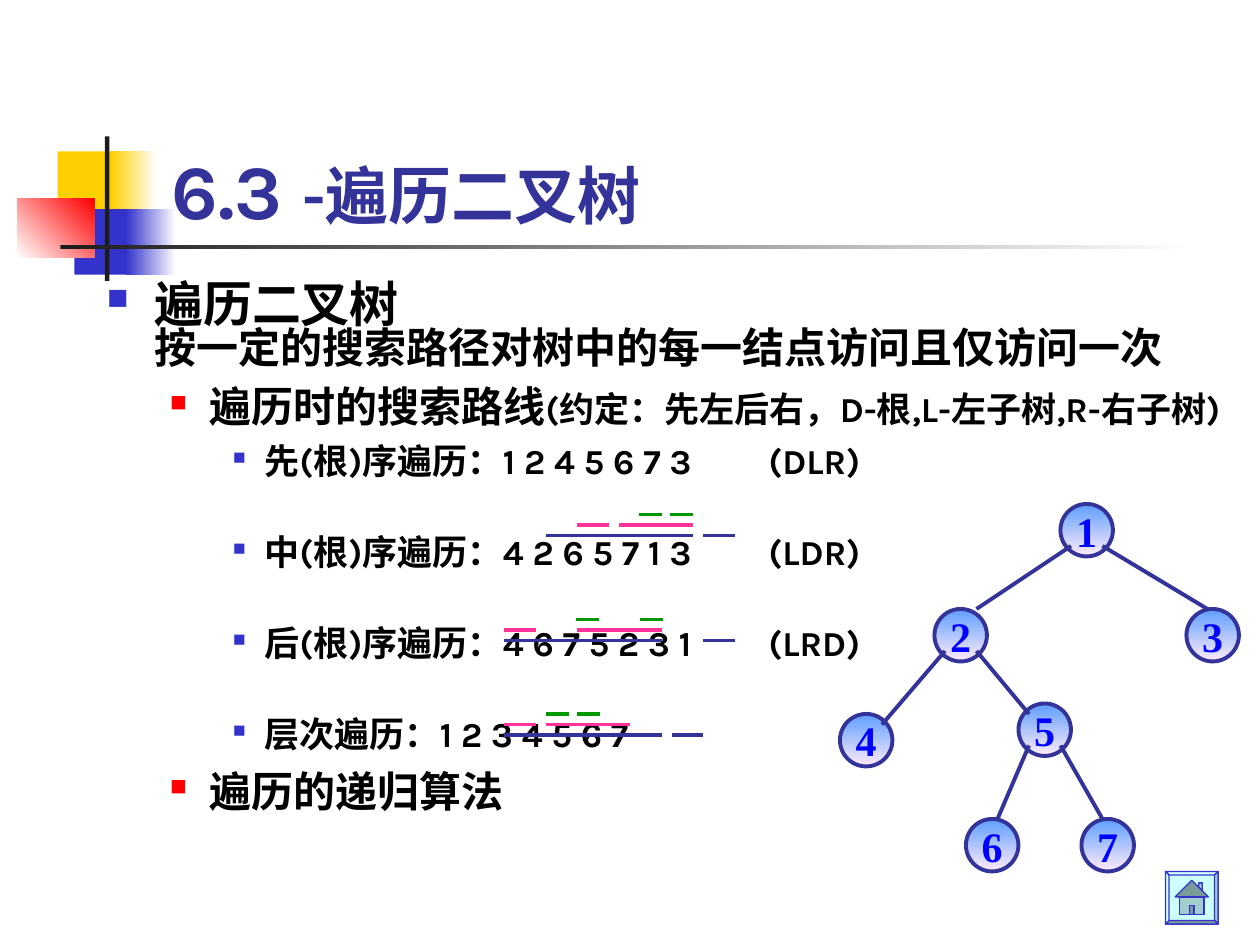
import pptx
import pptx.dml.color
import pptx.enum.shapes
import pptx.enum.text
import pptx.oxml.ns
import pptx.util
from dataclasses import dataclass
from lxml import etree

Pt = pptx.util.Pt
SHAPE = pptx.enum.shapes.MSO_SHAPE


@dataclass(frozen=True)
class Theme:
    navy: str = "333399"
    blue: str = "3333CC"
    yellow: str = "FFCF01"
    red: str = "FF0000"
    pink: str = "FF3399"
    green: str = "009900"
    black: str = "000000"
    dark: str = "1C1C1C"
    white: str = "FFFFFF"
    node_text: str = "0000FF"
    node_fill: tuple = ("5E9EFF", "FFEBFA")
    button: str = "CCFFFF"
    button_light: str = "D6FFFF"
    button_shade: str = "A3CCCC"
    button_dark: str = "7A9999"
    font: str = "Karla"
    node_font: str = "Times New Roman"
    title_size: int = 44
    subtitle_size: int = 36
    heading_size: int = 28
    body_size: int = 24
    detail_size: int = 20
    line_width: float = 2.25
    thin_line: float = 0.75


THEME = Theme()

# Bullet level: left margin, hanging indent, line spacing, bullet colour, bullet percent
LEVELS = [
    (27, 27, 0.8, THEME.blue, 60),
    (58.5, 22.5, 1.0, THEME.red, 55),
    (90, 18, 1.0, THEME.blue, 50),
]
ORDER_CODE_TAB = 378
ORDER_GAP = 23

NODE_SIZE = 30
NODES = {1: (606, 288), 2: (534, 348), 3: (678, 348), 4: (480, 408),
         5: (582, 402), 6: (552, 468), 7: (618, 468)}
# Parent, child, start offset across the parent, end offset in the child
EDGES = [(1, 2, 6, (24, 0)), (1, 3, 24, (12, 0)), (2, 4, 6, (24, 6)),
         (2, 5, 24, (6, 6)), (5, 6, 6, (18, 0)), (5, 7, 24, (12, 0))]

# Baseline of each traversal's marks, then spans for the three subtree depths
MARK_COLOURS = (THEME.navy, THEME.pink, THEME.green)
MARK_STEP = 6
MARKS = [
    (306, [[(312, 396), (402, 420)], [(330, 348), (354, 396)], [(365, 378), (383, 396)]]),
    (366, [[(288, 378), (402, 420)], [(288, 306), (330, 378)], [(329, 342), (366, 379)]]),
    (420, [[(288, 378), (384, 402)], [(288, 306), (312, 360)], [(312, 325), (330, 343)]]),
]


def rgb(colour):
    return pptx.dml.color.RGBColor.from_string(colour)


def fill_shape(shape, fill, angle=0):
    """Fill with one colour, or with a pair as a gradient turned clockwise."""
    shape.shadow.inherit = False
    if isinstance(fill, str):
        shape.fill.solid()
        shape.fill.fore_color.rgb = rgb(fill)
        return
    shape.fill.gradient()
    shape.fill.gradient_angle = (360 - angle) % 360
    for stop, colour in zip(shape.fill.gradient_stops, fill):
        stop.color.rgb = rgb(colour)


def set_line(shape, colour, width):
    shape.line.color.rgb = rgb(colour)
    shape.line.width = Pt(width)


def add_block(slide, box, fill, angle=0):
    shape = slide.shapes.add_shape(SHAPE.RECTANGLE, *map(Pt, box))
    fill_shape(shape, fill, angle)
    shape.line.fill.background()


def add_line(slide, start, end, colour):
    line = slide.shapes.add_connector(
        pptx.enum.shapes.MSO_CONNECTOR.STRAIGHT, *map(Pt, (*start, *end)))
    set_line(line, colour, THEME.line_width)
    etree.SubElement(line.element.spPr, pptx.oxml.ns.qn("a:effectLst"))


def add_polygon(slide, origin, points, fill):
    corners = [(Pt(origin[0] + x), Pt(origin[1] + y)) for x, y in points]
    builder = slide.shapes.build_freeform(*corners[0])
    builder.add_line_segments(corners[1:], close=True)
    shape = builder.convert_to_shape()
    fill_shape(shape, fill)
    set_line(shape, THEME.blue, THEME.thin_line)


def add_text_frame(slide, box):
    frame = slide.shapes.add_textbox(*map(Pt, box)).text_frame
    frame.word_wrap = True
    return frame


def style_font(font, name, size, colour):
    font.name, font.size, font.bold = name, Pt(size), True
    font.color.rgb = rgb(colour)


def add_runs(paragraph, runs, colour):
    """Write (text, size) runs; the first size is the paragraph's own."""
    first_size = runs[0][1]
    style_font(paragraph.font, THEME.font, first_size, colour)
    for text, size in runs:
        for index, line in enumerate(text.split("\n")):
            if index:
                paragraph.add_line_break()
            if line:
                run = paragraph.add_run()
                run.text = line
                if size != first_size:
                    run.font.size = Pt(size)


def set_bullet(paragraph, level, tab=None):
    margin, hanging, spacing, colour, percent = LEVELS[level]
    paragraph.level = level
    paragraph.line_spacing = spacing
    properties = paragraph._p.get_or_add_pPr()
    properties.set("marL", str(Pt(margin)))
    properties.set("indent", str(-Pt(hanging)))

    def add(parent, tag, **attributes):
        return etree.SubElement(parent, pptx.oxml.ns.qn(tag), attributes)

    add(add(properties, "a:buClr"), "a:srgbClr", val=colour)
    add(properties, "a:buSzPct", val=str(percent * 1000))
    add(properties, "a:buChar", char="■")
    if tab:
        add(add(properties, "a:tabLst"), "a:tab", pos=str(Pt(tab)), algn="l")


def add_decoration(slide):
    add_block(slide, (33, 86.5, 35, 37.5), THEME.yellow)
    add_block(slide, (63.5, 86.5, 26, 37.5), (THEME.yellow, THEME.white))
    add_block(slide, (42.5, 119.5, 33, 37.5), THEME.blue)
    add_block(slide, (72, 119.5, 28.5, 37.5), (THEME.blue, THEME.white))
    add_block(slide, (10, 113.5, 44, 33.5), (THEME.white, THEME.red), 315)
    add_block(slide, (60, 78, 2.5, 82.5), THEME.dark)
    add_block(slide, (34.5, 140, 648, 2.5), (THEME.dark, THEME.white))


def add_title(slide):
    frame = add_text_frame(slide, (91, 48, 613, 90))
    frame.vertical_anchor = pptx.enum.text.MSO_ANCHOR.BOTTOM
    add_runs(frame.paragraphs[0], [("6.3 ", THEME.title_size),
                                   ("-遍历二叉树", THEME.subtitle_size)], THEME.navy)


def add_body(slide):
    frame = add_text_frame(slide, (54, 159, 666, 345))
    body, detail = THEME.body_size, THEME.detail_size
    orders = [("先(根)序遍历：1 2 4 5 6 7 3", "(DLR)"),
              ("中(根)序遍历：4 2 6 5 7 1 3", "(LDR)"),
              ("后(根)序遍历：4 6 7 5 2 3 1", "(LRD)")]
    items = [
        (0, 6, 0, [("遍历二叉树\n", THEME.heading_size),
                   ("按一定的搜索路径对树中的每一结点访问且仅访问一次", body)]),
        (1, 5, 0, [("遍历时的搜索路线", body),
                   ("(约定：先左后右，D-根,L-左子树,R-右子树)", detail)]),
        *[(2, 5, ORDER_GAP, [(f"{order}\t{code}", detail)]) for order, code in orders],
        (2, 5, 0, [("层次遍历：1 2 3 4 5 6 7", detail)]),
        (1, 6, 0, [("遍历的递归算法", body)]),
    ]
    for index, (level, before, after, runs) in enumerate(items):
        paragraph = frame.add_paragraph() if index else frame.paragraphs[0]
        paragraph.space_before, paragraph.space_after = Pt(before), Pt(after)
        set_bullet(paragraph, level, ORDER_CODE_TAB if after else None)
        add_runs(paragraph, runs, THEME.black)


def add_home_button(slide):
    origin, size, bevel = (666, 498), 30, 2
    outer = [(0, 0), (size, 0), (size, size), (0, size)]
    far = size - bevel
    inner = [(bevel, bevel), (far, bevel), (far, far), (bevel, far)]
    add_polygon(slide, origin, outer, THEME.button)
    shades = (THEME.button_light, THEME.button_shade, THEME.button_dark, THEME.button_light)
    for side, shade in enumerate(shades):
        after = (side + 1) % 4
        add_polygon(slide, origin, [outer[side], outer[after], inner[after], inner[side]], shade)
    chimney = [(19, 9), (19, 6.5), (21, 6.5), (21, 11)]
    roof = [(15, 5), (24.5, 14.5), (5.5, 14.5)]
    wall = [(8, 14.5), (22, 14.5), (22, 24.5), (8, 24.5)]
    door = [(13.75, 19.5), (16.25, 19.5), (16.25, 24.5), (13.75, 24.5)]
    for points, shade in ((chimney, THEME.button_shade), (roof, THEME.button_dark),
                          (wall, THEME.button_shade), (door, THEME.button_dark)):
        add_polygon(slide, origin, points, shade)


def add_node(slide, number, position):
    shape = slide.shapes.add_shape(SHAPE.OVAL, *map(Pt, (*position, NODE_SIZE, NODE_SIZE)))
    fill_shape(shape, THEME.node_fill, 90)
    set_line(shape, THEME.navy, THEME.line_width)
    frame = shape.text_frame
    frame.word_wrap = False
    frame.vertical_anchor = pptx.enum.text.MSO_ANCHOR.MIDDLE
    paragraph = frame.paragraphs[0]
    paragraph.alignment = pptx.enum.text.PP_ALIGN.CENTER
    paragraph.add_run().text = str(number)
    style_font(paragraph.font, THEME.node_font, THEME.body_size, THEME.node_text)


def add_tree(slide):
    for number, position in NODES.items():
        add_node(slide, number, position)
    for parent, child, across, (right, down) in EDGES:
        (left, top), (child_left, child_top) = NODES[parent], NODES[child]
        add_line(slide, (left + across, top + 24),
                 (child_left + right, child_top + down), THEME.navy)


def add_marks(slide):
    for bottom, depths in MARKS:
        for depth, (colour, spans) in enumerate(zip(MARK_COLOURS, depths)):
            y = bottom - depth * MARK_STEP
            for start, end in spans:
                add_line(slide, (start, y), (end, y), colour)


def main():
    presentation = pptx.Presentation()
    presentation.slide_width, presentation.slide_height = Pt(720), Pt(540)
    slide = presentation.slides.add_slide(presentation.slide_layouts[6])
    for add_part in (add_decoration, add_title, add_body, add_home_button, add_tree, add_marks):
        add_part(slide)
    presentation.save("out.pptx")


if __name__ == "__main__":
    main()
